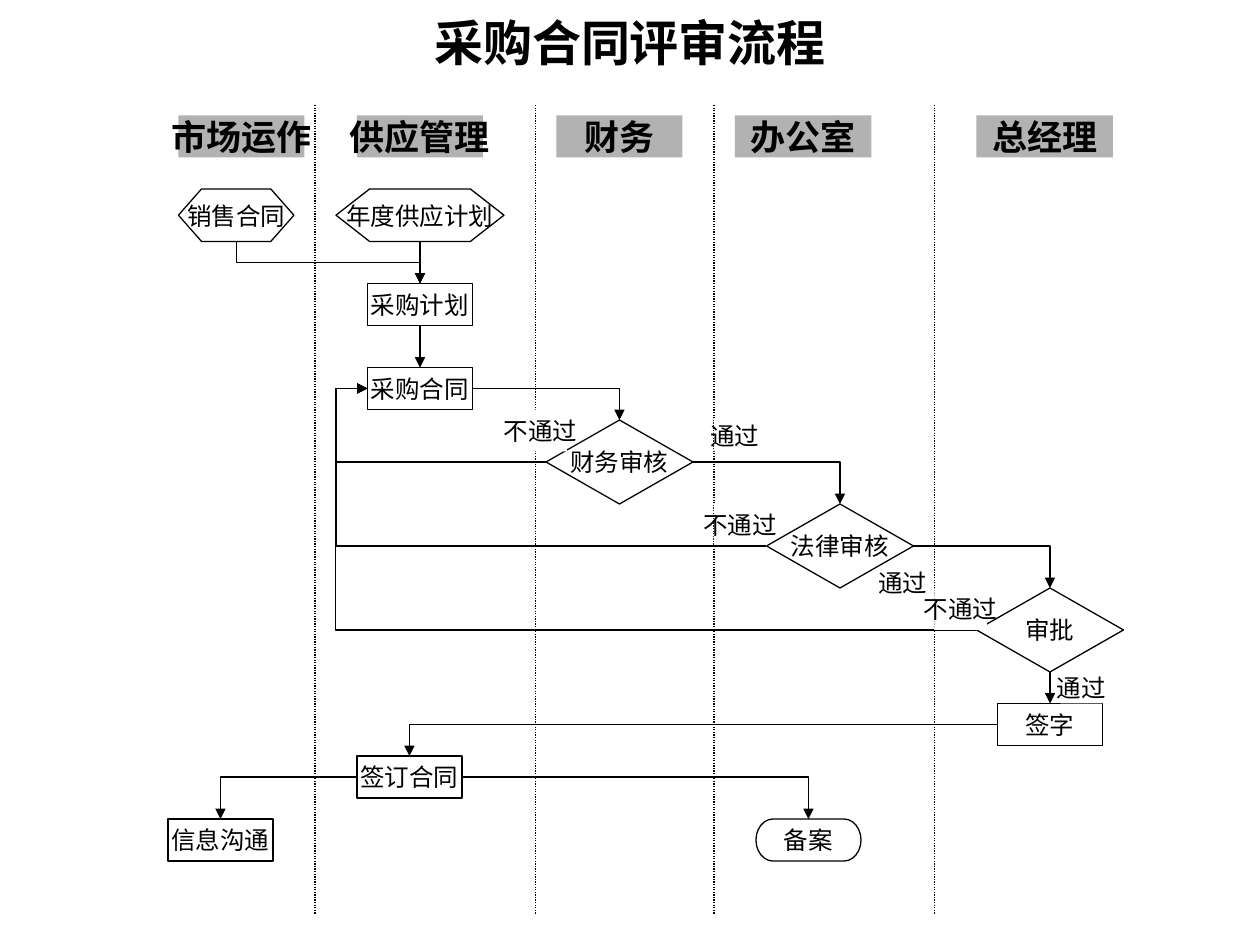
from lxml.etree import SubElement
from pptx import Presentation
from pptx.dml.color import RGBColor
from pptx.enum.dml import MSO_LINE
from pptx.enum.shapes import MSO_CONNECTOR as Link, MSO_SHAPE as Form
from pptx.enum.text import MSO_ANCHOR, MSO_AUTO_SIZE, PP_ALIGN
from pptx.oxml.ns import qn
from pptx.util import Pt

BLACK = RGBColor(0x00, 0x00, 0x00)
WHITE = RGBColor(0xFF, 0xFF, 0xFF)
GRAY = RGBColor(0xB2, 0xB2, 0xB2)
FONT = "Times New Roman"
GRID = 6  # points per grid step; all places below are in grid steps

TITLE = "采购合同评审流程"
# Lane headings: text, left, width
LANES = [("市场运作", 17, 12), ("供应管理", 34, 12), ("财务", 53, 12),
         ("办公室", 70, 13), ("总经理", 93, 13)]
DIVIDERS = [30, 51, 68, 89]

# Step kinds: outline, width, height
BOX = (Form.RECTANGLE, 10, 4)
CHECK = (Form.DIAMOND, 14, 8)
END = (Form.FLOWCHART_TERMINATOR, 10, 4)
SHORT_INPUT = (Form.FLOWCHART_PREPARATION, 11, 5)
LONG_INPUT = (Form.FLOWCHART_PREPARATION, 16, 5)

# Steps: text, kind, left, top
STEPS = [
    ("销售合同", SHORT_INPUT, 17, 18),
    ("年度供应计划", LONG_INPUT, 32, 18),
    ("采购计划", BOX, 35, 27),
    ("采购合同", BOX, 35, 35),
    ("财务审核", CHECK, 52, 40),
    ("法律审核", CHECK, 73, 48),
    ("审批", CHECK, 93, 56),
    ("签字", BOX, 95, 67),
    ("签订合同", BOX, 34, 72),
    ("信息沟通", BOX, 16, 78),
    ("备案", END, 72, 78),
]

# Connection sites, and flows that run level, then down: from, site, to
TOP, LEFT, BOTTOM, RIGHT = range(4)
FLOWS = [
    ("年度供应计划", BOTTOM, "采购计划"),
    ("采购计划", BOTTOM, "采购合同"),
    ("采购合同", RIGHT, "财务审核"),
    ("财务审核", RIGHT, "法律审核"),
    ("法律审核", RIGHT, "审批"),
    ("审批", BOTTOM, "签字"),
    ("签字", LEFT, "签订合同"),
    ("签订合同", LEFT, "信息沟通"),
    ("签订合同", RIGHT, "备案"),
]
REJECTING = ["财务审核", "法律审核", "审批"]
RETURN_X = 32  # shared vertical of the rejected contracts

# Decision labels: text, left, top, width, height
LABELS_UNDER = [("不通过", 49, 39, 5, 4), ("通过", 68, 40, 4, 3),
                ("不通过", 68, 48, 5, 4), ("通过", 84, 54, 4, 3)]
LABELS_OVER = [("通过", 101, 64, 4, 3), ("不通过", 89, 56, 5, 4)]


def grid(steps):
    return Pt(steps * GRID)


def set_font(paragraph, size, bold=False):
    paragraph.alignment = PP_ALIGN.CENTER
    font = paragraph.font
    font.name, font.size, font.bold = FONT, Pt(size), bold
    font.color.rgb = BLACK


def add_block(slide, text, form, place, fill=WHITE, outlined=False,
              size=14, bold=False):
    shape = slide.shapes.add_shape(form, *map(grid, place))
    shape.shadow.inherit = False
    shape.fill.solid()
    shape.fill.fore_color.rgb = fill
    if outlined:
        shape.line.color.rgb = BLACK
        shape.line.width = Pt(0.75)
    else:
        shape.line.fill.background()
    shape.text_frame.word_wrap = False
    shape.text_frame.text = text
    set_font(shape.text_frame.paragraphs[0], size, bold)
    return shape


def add_line(slide, kind, ends=(0, 0, 0, 0)):
    line = slide.shapes.add_connector(kind, *map(grid, ends))
    line.line.color.rgb = BLACK
    line.line.width = Pt(0.75)
    SubElement(line._element.spPr, qn("a:effectLst"))
    return line


def add_arrow(slide, start, start_site, end, end_site, preset, bend=None):
    arrow = add_line(slide, Link.ELBOW)
    arrow.begin_connect(start, start_site)
    arrow.end_connect(end, end_site)
    properties = arrow._element.spPr
    SubElement(properties.find(qn("a:ln")), qn("a:tailEnd"), type="triangle")
    geometry = properties.find(qn("a:prstGeom"))
    geometry.set("prst", preset)
    if bend is not None:
        SubElement(geometry.find(qn("a:avLst")), qn("a:gd"),
                   name="adj1", fmla=f"val {round(bend * 100000)}")
    return arrow


def turn_downward(arrow):
    """Make a three-part elbow leave and arrive vertically."""
    left, top, width, height = arrow.left, arrow.top, arrow.width, arrow.height
    arrow.left = left + (width - height) // 2
    arrow.top = top + (height - width) // 2
    arrow.width, arrow.height = height, width
    transform = arrow._element.spPr.find(qn("a:xfrm"))
    transform.set("rot", str(270 * 60000))
    transform.set("flipH", "1")


def add_labels(slide, labels):
    for text, *place in labels:
        add_block(slide, text, Form.RECTANGLE, place)


def main():
    presentation = Presentation()
    presentation.slide_width, presentation.slide_height = Pt(720), Pt(540)
    slide = presentation.slides.add_slide(presentation.slide_layouts[5])

    # Title
    title = slide.shapes.title
    title.left, title.top, title.width, title.height = map(
        grid, (24.5, 0, 71, 8))
    frame = title.text_frame
    frame.text = TITLE
    frame.auto_size = MSO_AUTO_SIZE.NONE
    frame.vertical_anchor = MSO_ANCHOR.MIDDLE
    set_font(frame.paragraphs[0], 28, bold=True)

    # Lanes
    for text, left, width in LANES:
        add_block(slide, text, Form.RECTANGLE, (left, 11, width, 4),
                  fill=GRAY, size=20, bold=True)
    for x in DIVIDERS:
        divider = add_line(slide, Link.STRAIGHT, (x, 10, x, 87))
        divider.line.dash_style = MSO_LINE.ROUND_DOT

    # Steps
    steps = {}
    for text, (form, width, height), left, top in STEPS:
        steps[text] = add_block(slide, text, form, (left, top, width, height),
                                outlined=True)
    add_labels(slide, LABELS_UNDER)

    # Flows
    for start, site, end in FLOWS:
        add_arrow(slide, steps[start], site, steps[end], TOP, "bentConnector2")
    turn_downward(add_arrow(slide, steps["销售合同"], BOTTOM,
                            steps["采购计划"], TOP, "bentConnector3", 0.5))
    contract = steps["采购合同"]
    for name in REJECTING:
        check = steps[name]
        bend = (check.left - grid(RETURN_X)) / (check.left - contract.left)
        add_arrow(slide, check, LEFT, contract, LEFT, "bentConnector3", bend)
    add_labels(slide, LABELS_OVER)

    presentation.save("out.pptx")


if __name__ == "__main__":
    main()
